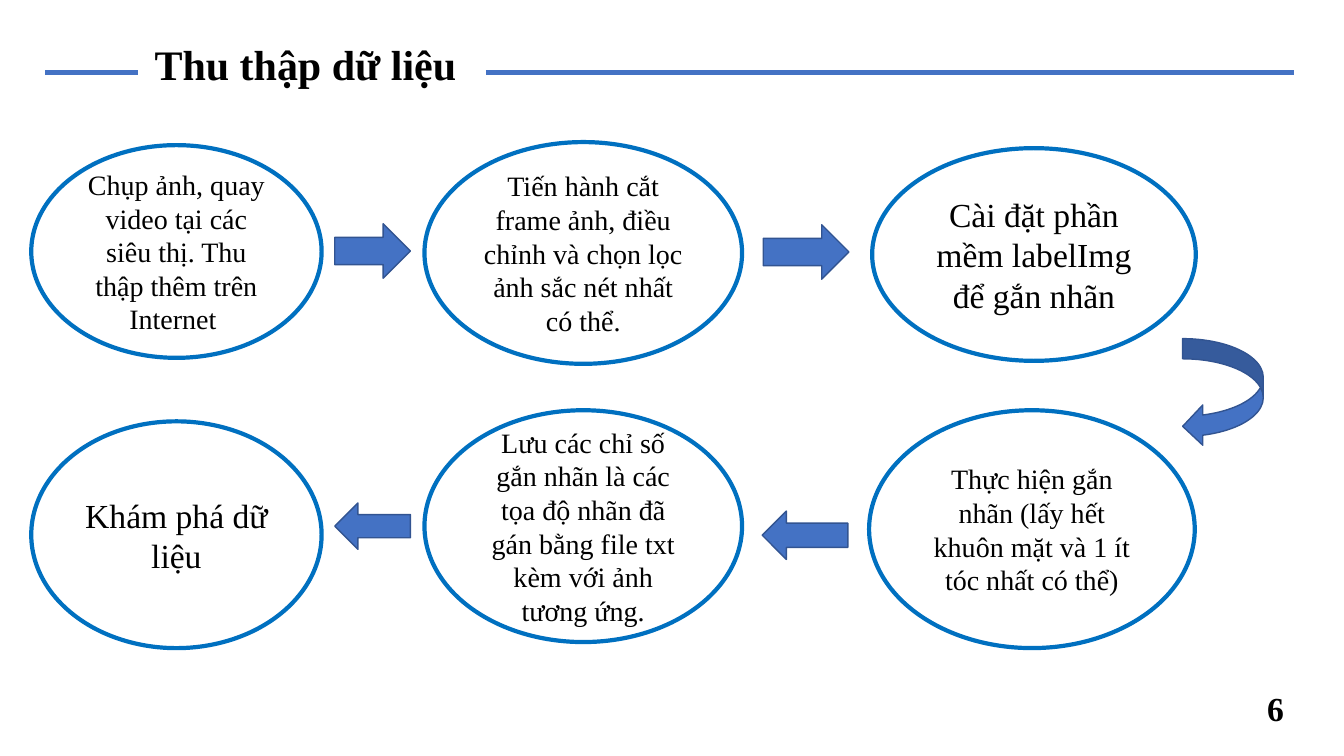
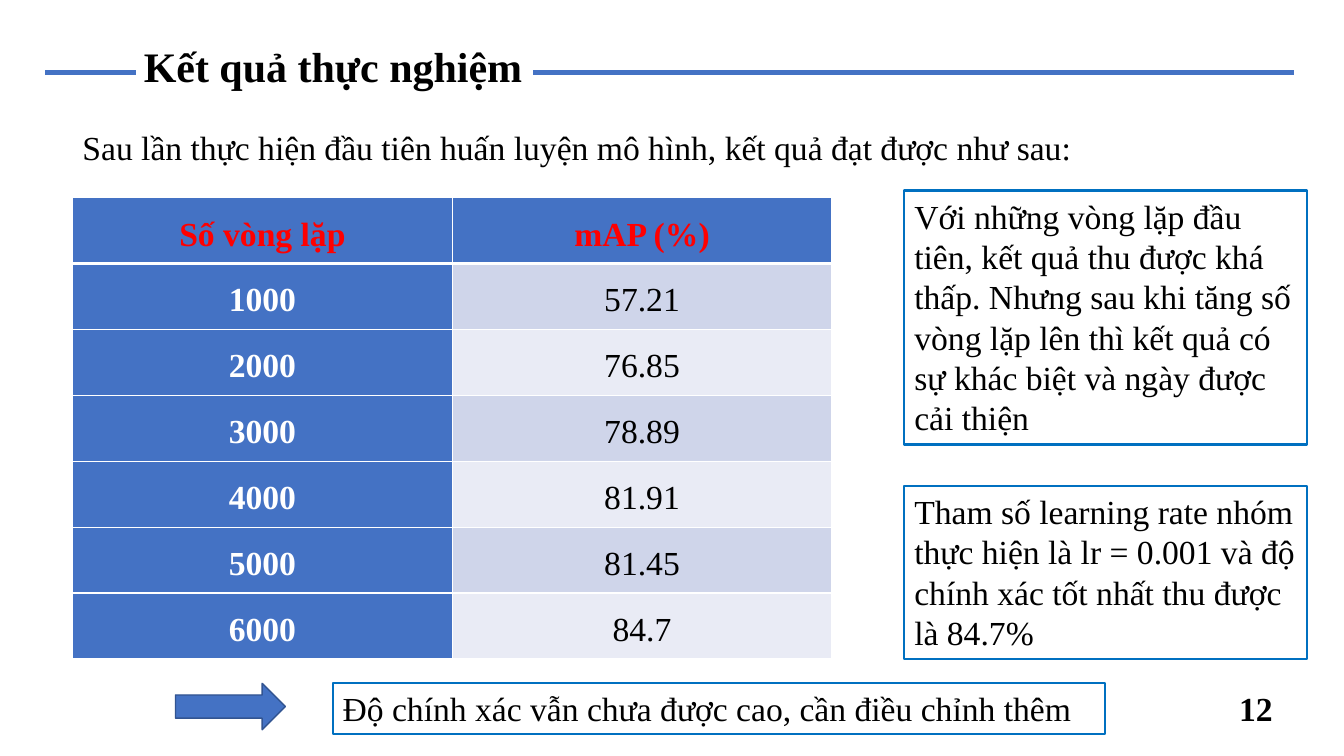
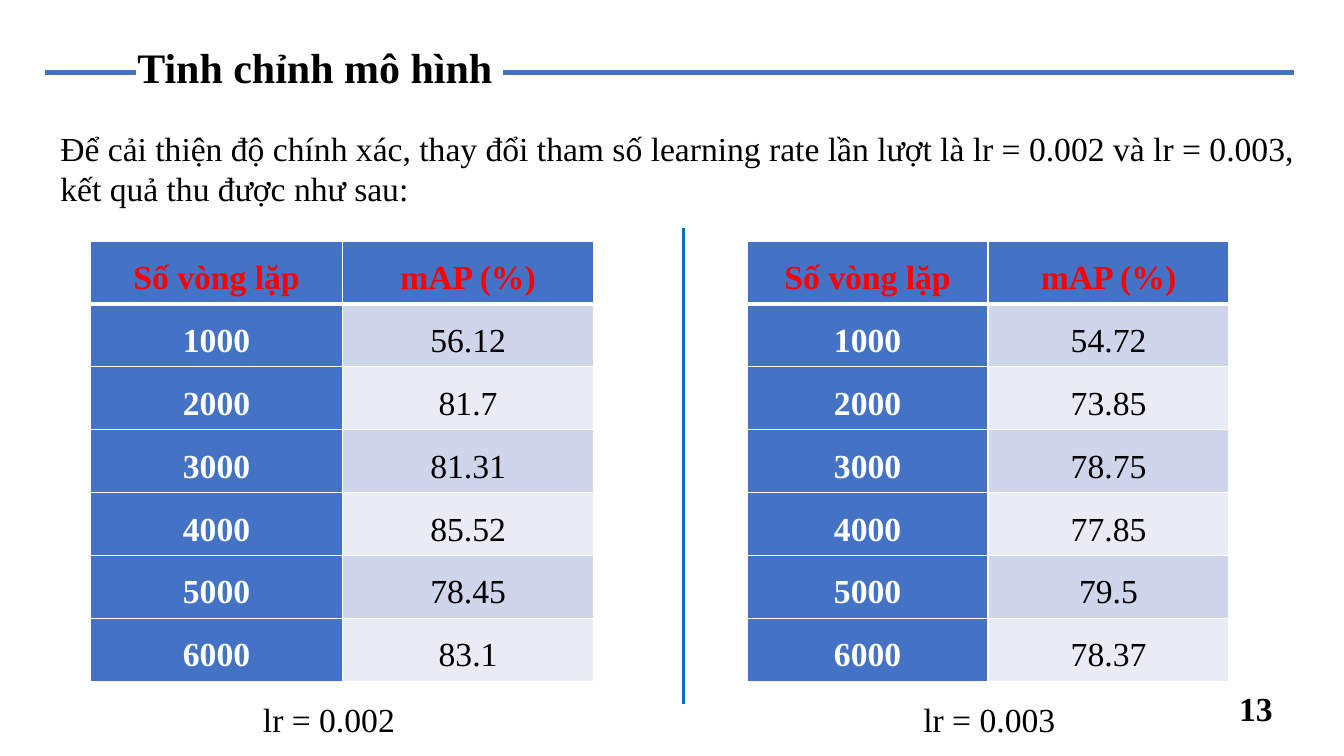
from dataclasses import dataclass

from lxml import etree
from pptx import Presentation
from pptx import util as u
from pptx.dml.color import RGBColor
from pptx.enum import shapes, text
from pptx.oxml.ns import qn

PX = 9144  # EMU per px, 100 px to the inch
KIND = shapes.MSO_SHAPE


@dataclass(frozen=True)
class Theme:
    font: str = "Times New Roman"
    black: str = "000000"
    white: str = "FFFFFF"
    red: str = "FF0000"
    accent: str = "4472C4"
    accent_dark: str = "325491"
    outline: str = "0070C0"
    bands: tuple = ("CFD5EA", "E9EBF5")
    title: int = 30
    body: int = 24
    small: int = 20


THEME = Theme()


def rgb(value):
    return RGBColor.from_string(value)


def px(*lengths):
    return [u.Emu(n * PX) for n in lengths]


class Deck:
    def __init__(self, theme):
        self.theme = theme
        self.prs = Presentation()
        self.prs.slide_width, self.prs.slide_height = px(1333, 750)
        self.slide = None

    def add_slide(self, title, title_box, rule_gap, number, number_x):
        """Start a slide whose title sits in the gap of a horizontal rule."""
        t = self.theme
        self.slide = self.prs.slides.add_slide(self.prs.slide_layouts[5])
        sp = self.slide.shapes.title
        sp.left, sp.top, sp.width, sp.height = px(*title_box)
        tf = sp.text_frame
        tf.text = title
        tf.auto_size = text.MSO_AUTO_SIZE.NONE
        tf.vertical_anchor = text.MSO_ANCHOR.BOTTOM
        tf.paragraphs[0].line_spacing = 0.9
        self.style(tf, t.title, bold=True, align=text.PP_ALIGN.CENTER)
        gap_start, gap_end = rule_gap
        self.line(45, 72, gap_start, 72, t.accent, 3)
        self.line(gap_end, 72, 1283, 72, t.accent, 3)
        self.text(str(number), (number_x, 678, 1284 - number_x, 50), bold=True)

    def style(self, tf, size, color=None, bold=False, align=text.PP_ALIGN.LEFT):
        for p in tf.paragraphs:
            p.alignment = align
            for r in p.runs:
                r.font.name = self.theme.font
                r.font.size = u.Pt(size)
                r.font.bold = bold
                r.font.color.rgb = rgb(color or self.theme.black)

    def line(self, x1, y1, x2, y2, color, width):
        sp = self.slide.shapes.add_connector(
            shapes.MSO_CONNECTOR.STRAIGHT, *px(x1, y1, x2, y2))
        sp.line.color.rgb = rgb(color)
        sp.line.width = u.Pt(width)
        etree.SubElement(sp._element.spPr, qn("a:effectLst"))

    def text(self, words, box, bold=False, framed=False):
        sp = self.slide.shapes.add_textbox(*px(*box))
        tf = sp.text_frame
        tf.word_wrap = True
        tf.text = words
        self.style(tf, self.theme.body, bold=bold)
        if framed:
            sp.line.color.rgb = rgb(self.theme.outline)
            sp.line.width = u.Pt(1.5)

    def shape(self, kind, box, fill, outline, width):
        sp = self.slide.shapes.add_shape(kind, *px(*box))
        sp.shadow.inherit = False
        sp.fill.solid()
        sp.fill.fore_color.rgb = rgb(fill)
        sp.line.color.rgb = rgb(outline)
        sp.line.width = u.Pt(width)
        return sp

    def step(self, words, box, size):
        t = self.theme
        sp = self.shape(KIND.OVAL, box, t.white, t.outline, 3)
        tf = sp.text_frame
        tf.word_wrap = True
        tf.text = words
        tf.vertical_anchor = text.MSO_ANCHOR.MIDDLE
        self.style(tf, size, align=text.PP_ALIGN.CENTER)

    def arrow(self, kind, box):
        self.shape(kind, box, self.theme.accent, self.theme.accent_dark, 1)

    def results(self, box, scores):
        """Table of mAP scores, one row per 1000 iterations."""
        t = self.theme
        rows = [("Số vòng lặp", "mAP (%)")]
        rows += [(str(1000 * i), score) for i, score in enumerate(scores, 1)]
        table = self.slide.shapes.add_table(len(rows), 2, *px(*box)).table
        table.first_col = True
        for i, row in enumerate(rows):
            for j, words in enumerate(row):
                head = i == 0
                strong = head or j == 0
                color = t.red if head else t.white if strong else t.black
                fill = t.accent if strong else t.bands[(i - 1) % 2]
                self.cell(table.cell(i, j), words, color, fill, strong,
                          top=3 if i == 1 else 1, bottom=3 if head else 1)

    def cell(self, cell, words, color, fill, bold, top, bottom):
        cell.margin_left, cell.margin_right = px(7, 7)
        cell.margin_top = cell.margin_bottom = 0
        tf = cell.text_frame
        tf.text = words
        tf.paragraphs[0].line_spacing = 1.5
        self.style(tf, self.theme.body, color, bold, text.PP_ALIGN.CENTER)
        cell.fill.solid()
        cell.fill.fore_color.rgb = rgb(fill)
        sides = {"a:lnL": 1, "a:lnR": 1, "a:lnT": top, "a:lnB": bottom}
        tc_pr = cell._tc.get_or_add_tcPr()
        for i, (side, width) in enumerate(sides.items()):
            ln = etree.Element(qn(side), w=str(u.Pt(width)))
            solid = etree.SubElement(ln, qn("a:solidFill"))
            etree.SubElement(solid, qn("a:srgbClr"), val=self.theme.white)
            tc_pr.insert(i, ln)


def data_collection(deck):
    t = deck.theme
    deck.add_slide("Thu thập dữ liệu", (125, 24, 356, 70), (137, 482), 6, 1247)
    steps = [
        ("Chụp ảnh, quay video tại các siêu thị. Thu thập thêm trên Internet ",
         (31, 144, 288, 211), t.small),
        ("Tiến hành cắt frame ảnh, điều chỉnh và chọn lọc ảnh sắc nét nhất có thể.",
         (421, 141, 315, 220), t.small),
        ("Cài đặt phần mềm labelImg để gắn nhãn",
         (865, 147, 321, 211), t.body),
        ("Thực hiện gắn nhãn (lấy hết khuôn mặt và 1 ít tóc nhất có thể)",
         (862, 407, 323, 236), t.small),
        ("Lưu các chỉ số gắn nhãn là các tọa độ nhãn đã gán bằng file txt "
         "kèm với ảnh tương ứng.",
         (421, 407, 315, 230), t.small),
        ("Khám phá dữ liệu", (31, 418, 288, 225), t.body),
    ]
    for words, box, size in steps:
        deck.step(words, box, size)
    arrows = [
        (KIND.RIGHT_ARROW, (332, 222, 75, 54)),
        (KIND.RIGHT_ARROW, (757, 223, 85, 54)),
        (KIND.CURVED_LEFT_ARROW, (1173, 336, 80, 107)),
        (KIND.LEFT_ARROW, (756, 507, 85, 48)),
        (KIND.LEFT_ARROW, (332, 499, 75, 46)),
    ]
    for kind, box in arrows:
        deck.arrow(kind, box)


def first_results(deck):
    deck.add_slide("Kết quả thực nghiệm", (123, 26, 415, 70), (135, 529), 12, 1219)
    deck.text("Sau lần thực hiện đầu tiên huấn luyện mô hình, kết quả đạt được "
              "như sau:", (72, 121, 1014, 50))
    deck.results((72, 196, 753, 458),
                 ["57.21", "76.85", "78.89", "81.91", "81.45", "84.7"])
    remarks = [
        ("Với những vòng lặp đầu tiên, kết quả thu được khá thấp. Nhưng sau khi "
         "tăng số vòng lặp lên thì kết quả có sự khác biệt và ngày được cải thiện",
         (897, 189, 399, 252)),
        ("Tham số learning rate nhóm thực hiện là lr = 0.001 và độ chính xác tốt "
         "nhất thu được là 84.7%", (897, 482, 399, 172)),
        ("Độ chính xác vẫn chưa được cao, cần điều chỉnh thêm",
         (330, 678, 766, 50)),
    ]
    for words, box in remarks:
        deck.text(words, box, framed=True)
    deck.arrow(KIND.RIGHT_ARROW, (174, 678, 109, 46))


def model_tuning(deck):
    deck.add_slide("Tinh chỉnh mô hình", (105, 27, 415, 70), (135, 499), 13, 1219)
    deck.text("Để cải thiện độ chính xác, thay đổi tham số learning rate lần lượt "
              "là lr = 0.002 và lr = 0.003, kết quả thu được như sau:",
              (50, 122, 1258, 91))
    deck.line(678, 226, 678, 698, deck.theme.outline, 2.25)
    runs = [
        ("lr = 0.002", 251, 90, 499,
         ["56.12", "81.7", "81.31", "85.52", "78.45", "83.1"]),
        ("lr = 0.003", 906, 741, 478,
         ["54.72", "73.85", "78.75", "77.85", "79.5", "78.37"]),
    ]
    for caption, caption_x, table_x, width, scores in runs:
        deck.results((table_x, 239, width, 437), scores)
        deck.text(caption, (caption_x, 688, 200, 50))


def main():
    deck = Deck(THEME)
    data_collection(deck)
    first_results(deck)
    model_tuning(deck)
    deck.prs.save("out.pptx")


if __name__ == "__main__":
    main()
